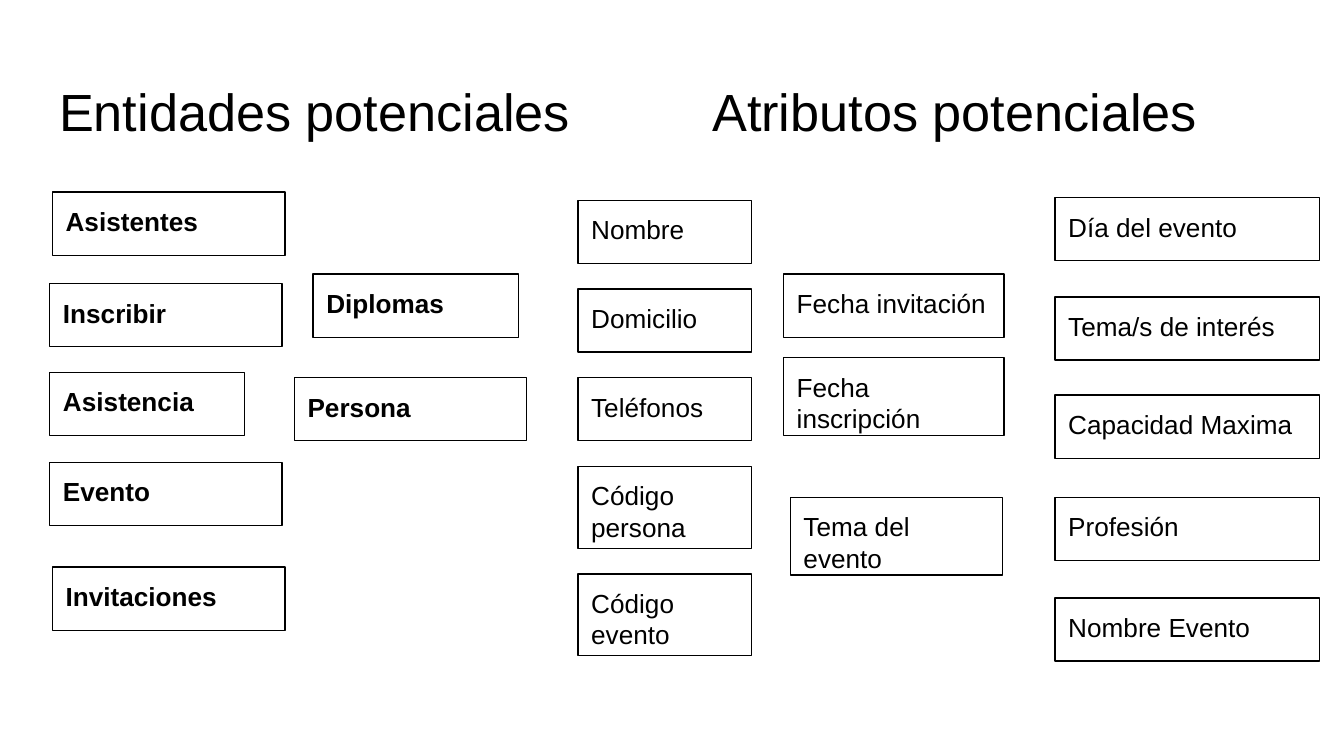
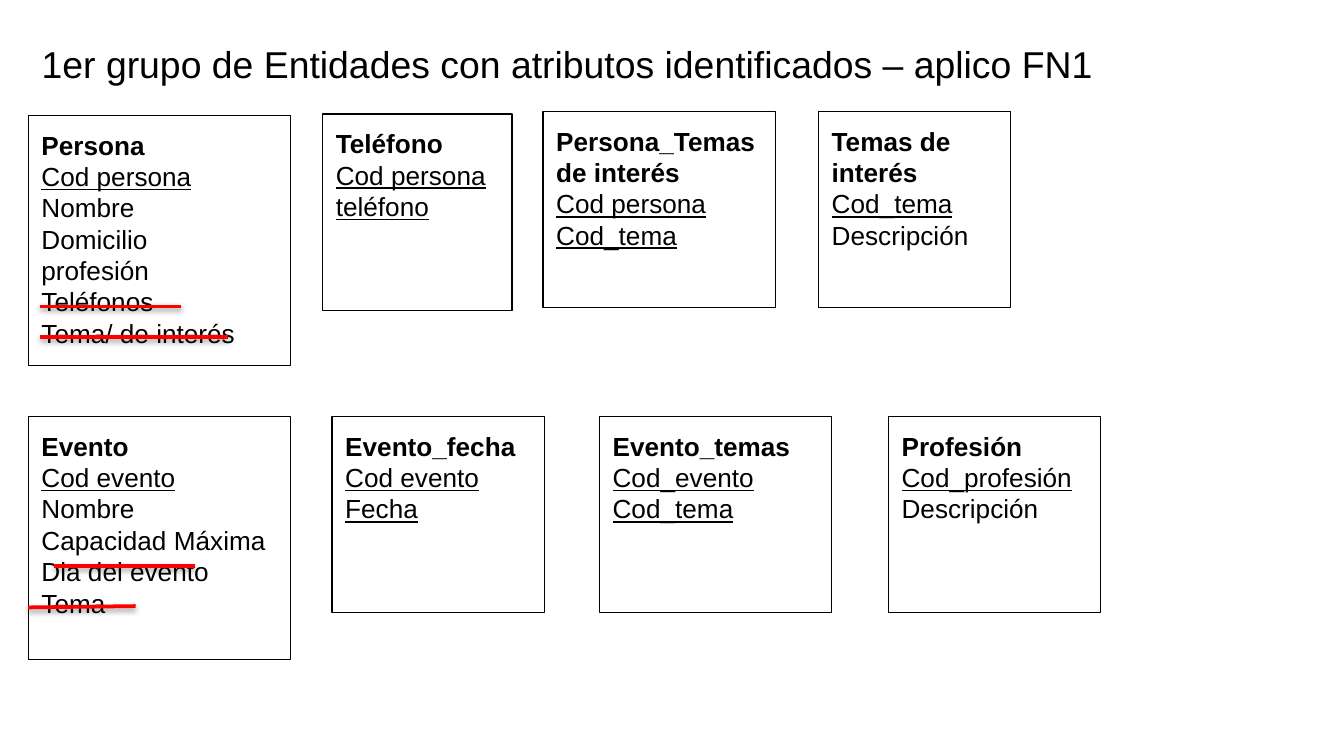
from dataclasses import dataclass

from lxml import etree
from pptx import Presentation
from pptx import util as u
from pptx.dml.color import RGBColor
from pptx.enum import shapes, text
from pptx.oxml import ns


@dataclass(frozen=True)
class Theme:
    font: str = "Arial"
    ink: RGBColor = RGBColor(0, 0, 0)
    paper: RGBColor = RGBColor(255, 255, 255)
    strike: RGBColor = RGBColor(255, 0, 0)
    heading: int = 28
    subheading: int = 20
    body: int = 14
    border: float = 0.75
    strike_width: float = 2
    inset: float = 0.1


THEME = Theme()


def write(frame, line, size=THEME.body, bold=False, underline=False, tab=None, first=True):
    """Write one paragraph; the first one also sets up its frame."""
    if first:
        frame.word_wrap = True
        frame.auto_size = text.MSO_AUTO_SIZE.NONE
        frame.vertical_anchor = text.MSO_ANCHOR.TOP
        frame.margin_left = frame.margin_right = u.Inches(THEME.inset)
        frame.margin_top = frame.margin_bottom = u.Inches(THEME.inset)
    para = frame.paragraphs[0] if first else frame.add_paragraph()
    para.alignment = text.PP_ALIGN.LEFT
    para.space_before = u.Pt(0)
    if tab:
        stops = etree.SubElement(para._p.get_or_add_pPr(), ns.qn("a:tabLst"))
        etree.SubElement(stops, ns.qn("a:tab"), pos=str(u.Inches(tab)), algn="l")
    span = para.add_run()
    span.text = line
    font = span.font
    font.name, font.size, font.color.rgb = THEME.font, u.Pt(size), THEME.ink
    font.bold, font.underline = bold, underline


def add_box(page, left, top, width, height):
    """Add an outlined rectangle and return its text frame."""
    box = page.shapes.add_shape(
        shapes.MSO_SHAPE.RECTANGLE, *map(u.Inches, (left, top, width, height)))
    box.shadow.inherit = False
    box.fill.background()
    box.line.color.rgb = THEME.ink
    box.line.width = u.Pt(THEME.border)
    return box.text_frame


deck = Presentation()
deck.slide_width = u.Inches(10)
deck.slide_height = u.Inches(10 * 9 / 16)

pages = []
for heading, left, top, size, tab in [
    ("Entidades potenciales\tAtributos potenciales", 0.34, 0.49, THEME.heading, 4.86),
    ("1er grupo de Entidades con atributos identificados – aplico FN1",
     0.21, 0.21, THEME.subheading, None),
]:
    page = deck.slides.add_slide(deck.slide_layouts[5])
    page.background.fill.solid()
    page.background.fill.fore_color.rgb = THEME.paper
    title = page.shapes.title
    title.left, title.top = u.Inches(left), u.Inches(top)
    title.width, title.height = u.Inches(9.32), u.Inches(0.63)
    write(title.text_frame, heading, size=size, tab=tab)
    pages.append(page)
candidates_page, entities_page = pages

# Candidate entities (bold): name, left, top, width
ROW = 0.47
for name, left, top, width in [
    ("Asistentes", 0.39, 1.43, 1.73),
    ("Inscribir", 0.37, 2.11, 1.73),
    ("Asistencia", 0.37, 2.77, 1.45),
    ("Evento", 0.37, 3.44, 1.73),
    ("Invitaciones", 0.39, 4.22, 1.73),
    ("Diplomas", 2.33, 2.04, 1.53),
    ("Persona", 2.19, 2.81, 1.73),
]:
    write(add_box(candidates_page, left, top, width, ROW), name, bold=True)

# Candidate attributes, by column: left, width, then name, top, height
for left, width, attributes in [
    (4.3, 1.29, [("Nombre", 1.49, ROW), ("Domicilio", 2.15, ROW), ("Teléfonos", 2.81, ROW),
                 ("Código persona", 3.47, 0.61), ("Código evento", 4.27, 0.61)]),
    (5.83, 1.64, [("Fecha invitación", 2.04, ROW), ("Fecha inscripción", 2.66, 0.58)]),
    (5.88, 1.58, [("Tema del evento", 3.7, 0.58)]),
    (7.85, 1.97, [("Día del evento", 1.47, ROW), ("Tema/s de interés", 2.21, ROW),
                  ("Capacidad Maxima", 2.94, ROW), ("Profesión", 3.7, ROW),
                  ("Nombre Evento", 4.45, ROW)]),
]:
    for name, top, height in attributes:
        write(add_box(candidates_page, left, top, width, height), name)

# Entities: place, name, key attributes (underlined), other attributes
CARD = 1.46
for place, name, keys, others in [
    ((0.21, 0.86, 1.95, 1.86), "Persona", ["Cod persona"],
     ["Nombre", "Domicilio", "profesión", "Teléfonos", "Tema/ de interés"]),
    ((2.4, 0.85, 1.41, CARD), "Teléfono", ["Cod persona", "teléfono"], []),
    ((4.04, 0.83, 1.73, CARD), "Persona_Temas de interés", ["Cod persona", "Cod_tema"], []),
    ((6.09, 0.83, 1.43, CARD), "Temas de interés", ["Cod_tema"], ["Descripción"]),
    ((0.21, 3.1, 1.95, 1.81), "Evento", ["Cod evento"],
     ["Nombre", "Capacidad Máxima", "Dia del evento", "Tema"]),
    ((2.47, 3.1, 1.58, CARD), "Evento_fecha", ["Cod evento", "Fecha"], []),
    ((4.46, 3.1, 1.73, CARD), "Evento_temas", ["Cod_evento", "Cod_tema"], []),
    ((6.61, 3.1, 1.58, CARD), "Profesión", ["Cod_profesión"], ["Descripción"]),
]:
    frame = add_box(entities_page, *place)
    write(frame, name, bold=True)
    for attribute in keys + others:
        write(frame, attribute, underline=attribute in keys, first=False)

# Red strokes through the attributes that move to their own entity
for ends in [(0.3, 2.28, 1.35, 2.28), (0.3, 2.51, 1.7, 2.51),
             (0.4, 4.21, 1.45, 4.21), (0.21, 4.52, 1.01, 4.51)]:
    strike = entities_page.shapes.add_connector(
        shapes.MSO_CONNECTOR.STRAIGHT, *map(u.Inches, ends))
    strike.line.color.rgb = THEME.strike
    strike.line.width = u.Pt(THEME.strike_width)
    effects = etree.SubElement(strike._element.spPr, ns.qn("a:effectLst"))
    shadow = etree.SubElement(effects, ns.qn("a:outerShdw"), blurRad=str(u.Pt(3.1)),
                              dist=str(u.Pt(1.6)), dir="5400000", rotWithShape="0")
    shade = etree.SubElement(shadow, ns.qn("a:srgbClr"), val=str(THEME.ink))
    etree.SubElement(shade, ns.qn("a:alpha"), val="38000")

deck.save("out.pptx")
